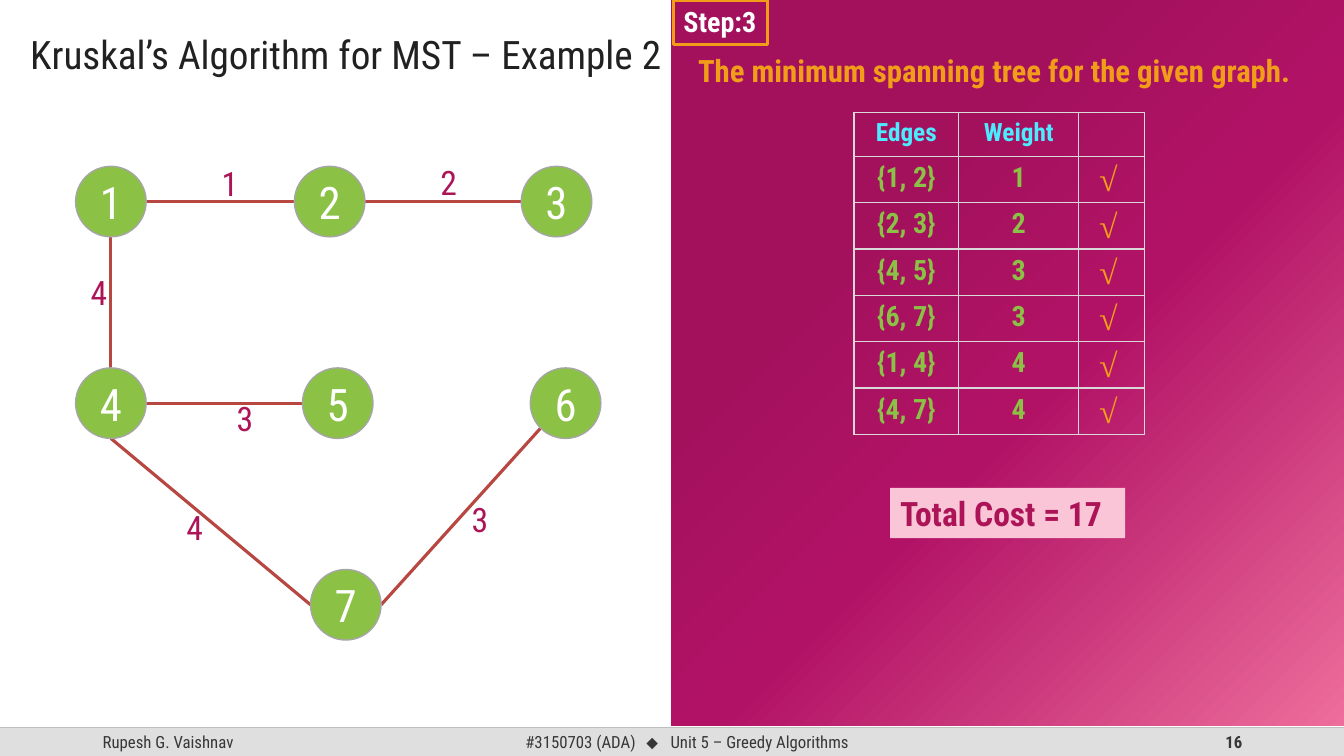
from dataclasses import dataclass

from pptx import Presentation
from pptx.dml.color import RGBColor as RGB
from pptx.enum.shapes import MSO_CONNECTOR as CONN, MSO_SHAPE as SHAPE
from pptx.enum.text import MSO_ANCHOR as ANCHOR, MSO_AUTO_SIZE as AUTO, PP_ALIGN as ALIGN
from pptx.oxml import parse_xml
from pptx.oxml.ns import nsdecls
from pptx.util import Inches, Pt


@dataclass
class Theme:
    font: str = "Roboto Condensed"
    symbol_font: str = "Arial"
    check_font: str = "Times New Roman"
    ink: str = "212121"
    footer_ink: str = "373737"
    footer_fill: str = "DFDFDF"
    footer_line: str = "BFBFBF"
    white: str = "FFFFFF"
    green: str = "8BC145"
    node_line: str = "A6A6A6"
    edge: str = "B84742"
    crimson: str = "AD1457"
    orange: str = "F19D19"
    cyan: str = "4CEBFF"
    pink: str = "F9C5D7"
    grid: str = "D9D9D9"
    panel: tuple = ((30, "A3115D"), (55, "B21266"), (100, "ED6D9B"))
    footer_size: int = 12
    head_size: int = 18
    cell_size: int = 20
    note_size: int = 22
    label_size: int = 24
    title_size: int = 28
    node_size: int = 32


T = Theme()


def write(tf, text, size, color, font=T.font, bold=False, italic=False,
          align=ALIGN.LEFT, anchor=ANCHOR.TOP, wrap=True):
    tf.word_wrap = wrap
    tf.vertical_anchor = anchor
    p = tf.paragraphs[0]
    p.alignment = align
    r = p.add_run()
    r.text = text
    f = r.font
    f.name, f.size, f.bold, f.italic = font, Pt(size), bold, italic
    f.color.rgb = RGB.from_string(color)
    return p


def connect(x1, y1, x2, y2, color, width):
    c = s.shapes.add_connector(CONN.STRAIGHT, *map(Inches, (x1, y1, x2, y2)))
    c.line.color.rgb = RGB.from_string(color)
    c.line.width = Pt(width)
    c._element.spPr.append(parse_xml(f"<a:effectLst {nsdecls('a')}/>"))


prs = Presentation()
prs.slide_width, prs.slide_height = Inches(13.33), Inches(7.5)
s = prs.slides.add_slide(prs.slide_layouts[5])

# Footer
bar = s.shapes.add_shape(SHAPE.RECTANGLE, 0, Inches(7.22), prs.slide_width, Inches(0.28))
bar.shadow.inherit = False
bar.fill.solid()
bar.fill.fore_color.rgb = RGB.from_string(T.footer_fill)
bar.line.fill.background()
connect(0, 7.22, 13.33, 7.22, T.footer_line, 1)

for x, w, text, bold, align in [
    (0.92, 3, "Rupesh G. Vaishnav", False, ALIGN.LEFT),
    (9.42, 3, "16", True, ALIGN.RIGHT),
]:
    tb = s.shapes.add_textbox(Inches(x), Inches(7.22), Inches(w), Inches(0.28))
    write(tb.text_frame, text, T.footer_size, T.footer_ink, bold=bold, align=align,
          anchor=ANCHOR.MIDDLE)

course = s.shapes.add_textbox(Inches(4.42), Inches(7.22), Inches(4.79), Inches(0.28))
tf = course.text_frame
tf.margin_left = Inches(0.79)
stops = "".join(f'<a:tab pos="{Inches(x)}" algn="l"/>' for x in (1.2, 1.44))
tf.paragraphs[0]._p.get_or_add_pPr().append(
    parse_xml(f"<a:tabLst {nsdecls('a')}>{stops}</a:tabLst>"))
for text, font in [("#3150703 (ADA)\t", T.font), ("⬥", T.symbol_font),
                   ("\tUnit 5 – Greedy Algorithms", T.font)]:
    write(tf, text, T.footer_size, T.footer_ink, font=font, anchor=ANCHOR.MIDDLE)

# Gradient panel
panel = s.shapes.add_shape(SHAPE.RECTANGLE, Inches(6.66), 0, Inches(6.67), Inches(7.2))
panel.shadow.inherit = False
panel.line.fill.background()
stops = "".join(f'<a:gs pos="{pos * 1000}"><a:srgbClr val="{c}"/></a:gs>' for pos, c in T.panel)
panel._element.spPr.find("{*}prstGeom").addnext(parse_xml(
    f'<a:gradFill {nsdecls("a")} rotWithShape="1"><a:gsLst>{stops}</a:gsLst>'
    '<a:path path="circle"><a:fillToRect r="100000" b="100000"/></a:path></a:gradFill>'))

# Title
title = s.shapes.title
title.left, title.top, title.width, title.height = map(Inches, (0, 0.01, 6.8, 0.81))
tf = title.text_frame
tf.auto_size = AUTO.NONE
tf.margin_left = Inches(0.3)
p = write(tf, "Kruskal’s Algorithm for MST – Example 2", T.title_size, T.ink,
          anchor=ANCHOR.MIDDLE)
p.line_spacing = 1.5

# Graph edges
for ends in [
    (1.45, 2, 2.92, 2), (3.62, 2, 5.17, 2), (1.45, 4, 3, 4),
    (1.1, 2.35, 1.1, 3.65), (5.36, 4.25, 3.78, 6), (1.1, 4.35, 3.08, 6),
]:
    connect(*ends, T.edge, 2.25)

# Graph nodes
nodes = [(0.75, 1.65), (2.92, 1.65), (5.17, 1.65),
         (0.75, 3.65), (3, 3.65), (5.26, 3.65), (3.08, 5.65)]
for number, (x, y) in enumerate(nodes, 1):
    node = s.shapes.add_shape(SHAPE.OVAL, Inches(x), Inches(y), Inches(0.7), Inches(0.7))
    node.shadow.inherit = False
    node.fill.solid()
    node.fill.fore_color.rgb = RGB.from_string(T.green)
    node.line.color.rgb = RGB.from_string(T.node_line)
    node.line.width = Pt(1)
    write(node.text_frame, str(number), T.node_size, T.white, align=ALIGN.CENTER,
          anchor=ANCHOR.MIDDLE)

# Edge weights
for weight, x, y in [(4, 0.8, 2.65), (3, 2.25, 3.9), (4, 1.75, 4.98),
                     (3, 4.58, 4.9), (1, 2.1, 1.57), (2, 4.27, 1.56)]:
    tb = s.shapes.add_textbox(Inches(x), Inches(y), Inches(0.4), Inches(0.5))
    write(tb.text_frame, str(weight), T.label_size, T.crimson)

# Step tag, heading and total cost
step = s.shapes.add_textbox(Inches(6.68), 0, Inches(0.93), Inches(0.44))
step.line.color.rgb = RGB.from_string(T.orange)
step.line.width = Pt(2.25)
write(step.text_frame, "Step:3", T.cell_size, T.white, bold=True, wrap=False)

heading = s.shapes.add_textbox(Inches(6.67), Inches(0.46), Inches(6.38), Inches(0.47))
write(heading.text_frame, "The minimum spanning tree for the given graph.",
      T.note_size, T.orange, bold=True, align=ALIGN.CENTER)

total = s.shapes.add_textbox(Inches(8.83), Inches(4.84), Inches(2.33), Inches(0.5))
total.fill.solid()
total.fill.fore_color.rgb = RGB.from_string(T.pink)
write(total.text_frame, "Total Cost = 17", T.label_size, T.crimson, bold=True, wrap=False)

# Edge table
rows = [("Edges", "Weight", ""), ("{1, 2}", "1", ""), ("{2, 3}", "2", ""), ("{4, 5}", "3", ""),
        ("{6, 7}", "3", ""), ("{1, 4}", "4", ""), ("{4, 7}", "4", "")]
table = s.shapes.add_table(len(rows), 3, Inches(8.47), Inches(1.12),
                           Inches(2.88), Inches(3.19)).table
table.first_row = table.horz_banding = False
for col, w in zip(table.columns, (1.04, 1.19, 0.65)):
    col.width = Inches(w)
for i, row in enumerate(rows):
    table.rows[i].height = Inches(0.46 if i else 0.43)
    size, color = (T.cell_size, T.green) if i else (T.head_size, T.cyan)
    for j, text in enumerate(row):
        cell = table.cell(i, j)
        tcPr = cell._tc.get_or_add_tcPr()
        for side in "LRTB":
            tcPr.append(parse_xml(
                f'<a:ln{side} {nsdecls("a")} w="{Pt(1)}"><a:solidFill>'
                f'<a:srgbClr val="{T.grid}"/></a:solidFill></a:ln{side}>'))
        cell.fill.background()
        if text:
            write(cell.text_frame, text, size, color, bold=True, align=ALIGN.CENTER)

# Check marks beside the chosen edges
for i in range(len(rows) - 1):
    tb = s.shapes.add_textbox(Inches(10.74), Inches(1.54 + 0.46 * i), Inches(0.5), Inches(0.46))
    write(tb.text_frame, "√", T.label_size, T.orange, font=T.check_font, bold=True,
          italic=True, align=ALIGN.CENTER, anchor=ANCHOR.MIDDLE)

prs.save("out.pptx")
